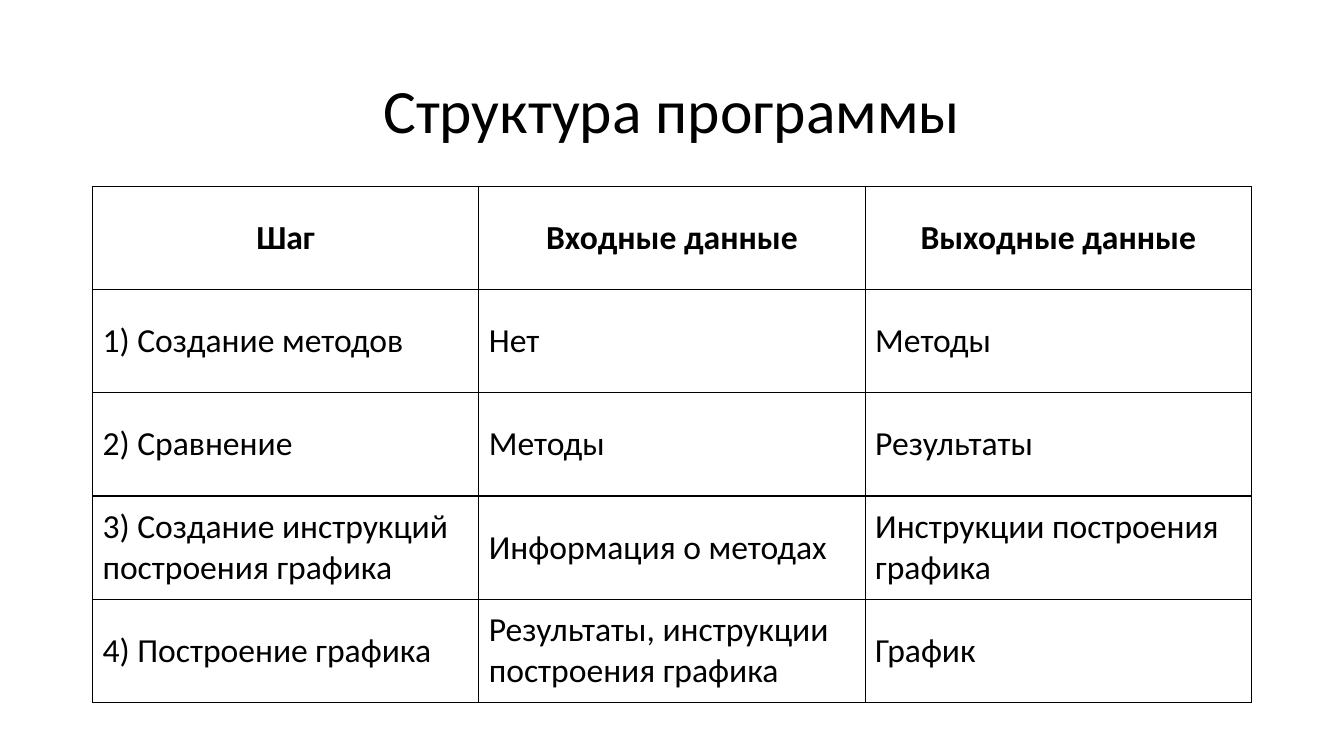
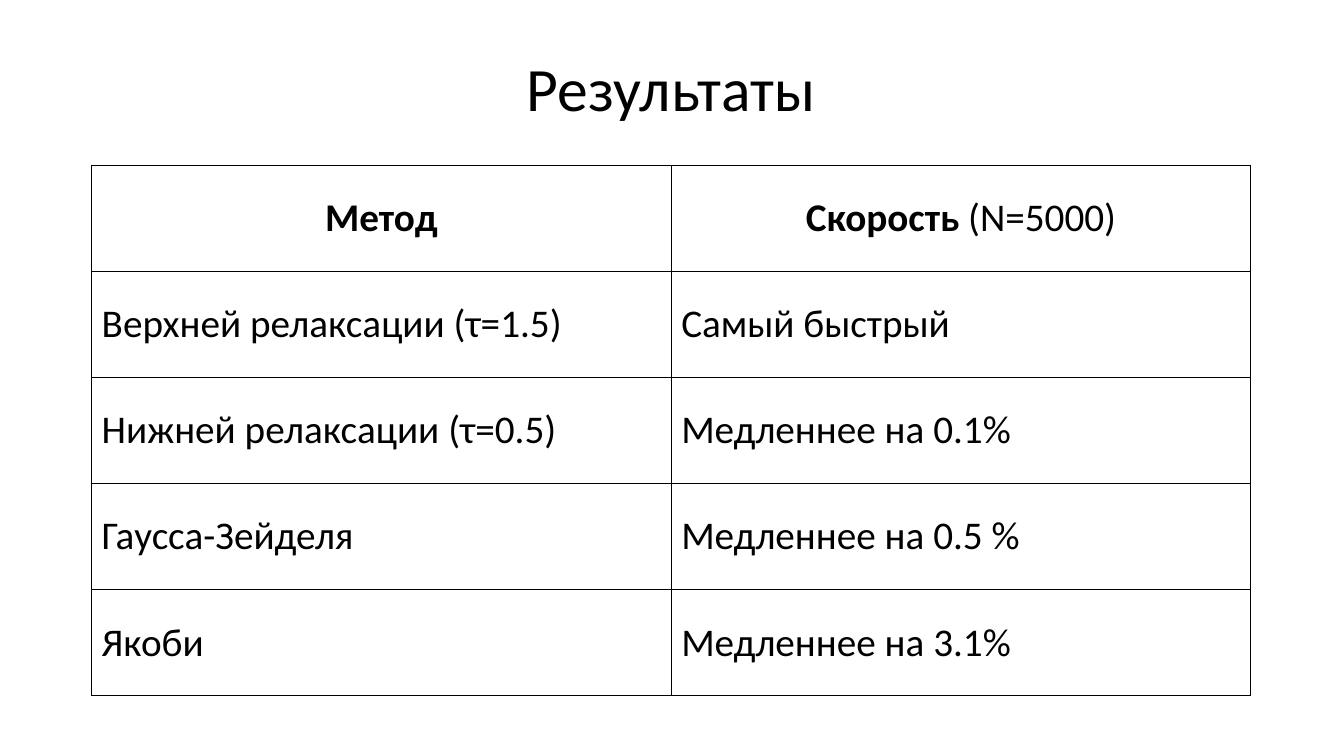
from lxml.etree import SubElement
from pptx import Presentation
from pptx.dml.color import RGBColor
from pptx.enum.text import MSO_ANCHOR as Anchor, PP_ALIGN as Align
from pptx.oxml.ns import qn
from pptx.util import Cm, Pt

INK = RGBColor(0x00, 0x00, 0x00)
PAPER = RGBColor(0xFF, 0xFF, 0xFF)
FONT = "Calibri"
TITLE_SIZE = 44
CONTENT_WIDTH = 29.21

deck = Presentation()
deck.slide_width, deck.slide_height = Cm(33.87), Cm(19.05)
blank = deck.slide_layouts[6]


def add_run(paragraph, text, size, bold=False):
    run = paragraph.add_run()
    run.text = text
    run.font.name = FONT
    run.font.size = Pt(size)
    run.font.bold = bold
    run.font.color.rgb = INK


def add_borders(cell):
    properties = cell._tc.get_or_add_tcPr()
    for side in ("a:lnL", "a:lnR", "a:lnT", "a:lnB"):
        border = SubElement(properties, qn(side), w=str(Pt(1)))
        fill = SubElement(border, qn("a:solidFill"))
        SubElement(fill, qn("a:srgbClr"), val=str(INK))


program_steps = [
    ["Шаг", "Входные данные", "Выходные данные"],
    ["1) Создание методов", "Нет", "Методы"],
    ["2) Сравнение", "Методы", "Результаты"],
    ["3) Создание инструкций построения графика", "Информация о методах",
     "Инструкции построения графика"],
    ["4) Построение графика", "Результаты, инструкции построения графика", "График"],
]
method_speeds = [
    ["Метод", ("Скорость ", "(N=5000)")],
    ["Верхней релаксации (τ=1.5)", "Самый быстрый"],
    ["Нижней релаксации (τ=0.5)", "Медленнее на 0.1%"],
    ["Гаусса-Зейделя", "Медленнее на 0.5 %"],
    ["Якоби", "Медленнее на 3.1%"],
]
pages = [
    ("Структура программы", 2.33, 1.01, 3.68, 4.7, 13.0, 24, program_steps),
    ("Результаты", 2.31, 0.81, 3.02, 4.17, 13.36, 28, method_speeds),
]

for heading, left, title_top, title_height, grid_top, grid_height, size, rows in pages:
    slide = deck.slides.add_slide(blank)
    title = slide.shapes.add_textbox(
        Cm(left), Cm(title_top), Cm(CONTENT_WIDTH), Cm(title_height)).text_frame
    title.word_wrap = True
    title.vertical_anchor = Anchor.MIDDLE
    title_line = title.paragraphs[0]
    title_line.alignment = Align.CENTER
    title_line.line_spacing = 0.9
    add_run(title_line, heading, TITLE_SIZE)

    grid = slide.shapes.add_table(
        len(rows), len(rows[0]), Cm(left), Cm(grid_top),
        Cm(CONTENT_WIDTH), Cm(grid_height)).table
    for row_index, row in enumerate(rows):
        is_header = row_index == 0
        for column_index, content in enumerate(row):
            cell = grid.cell(row_index, column_index)
            add_borders(cell)
            cell.fill.solid()
            cell.fill.fore_color.rgb = PAPER
            cell.vertical_anchor = Anchor.MIDDLE
            line = cell.text_frame.paragraphs[0]
            line.alignment = Align.CENTER if is_header else Align.LEFT
            label, *remarks = [content] if isinstance(content, str) else content
            add_run(line, label, size, bold=is_header)
            for remark in remarks:
                add_run(line, remark, size)

deck.save("out.pptx")
